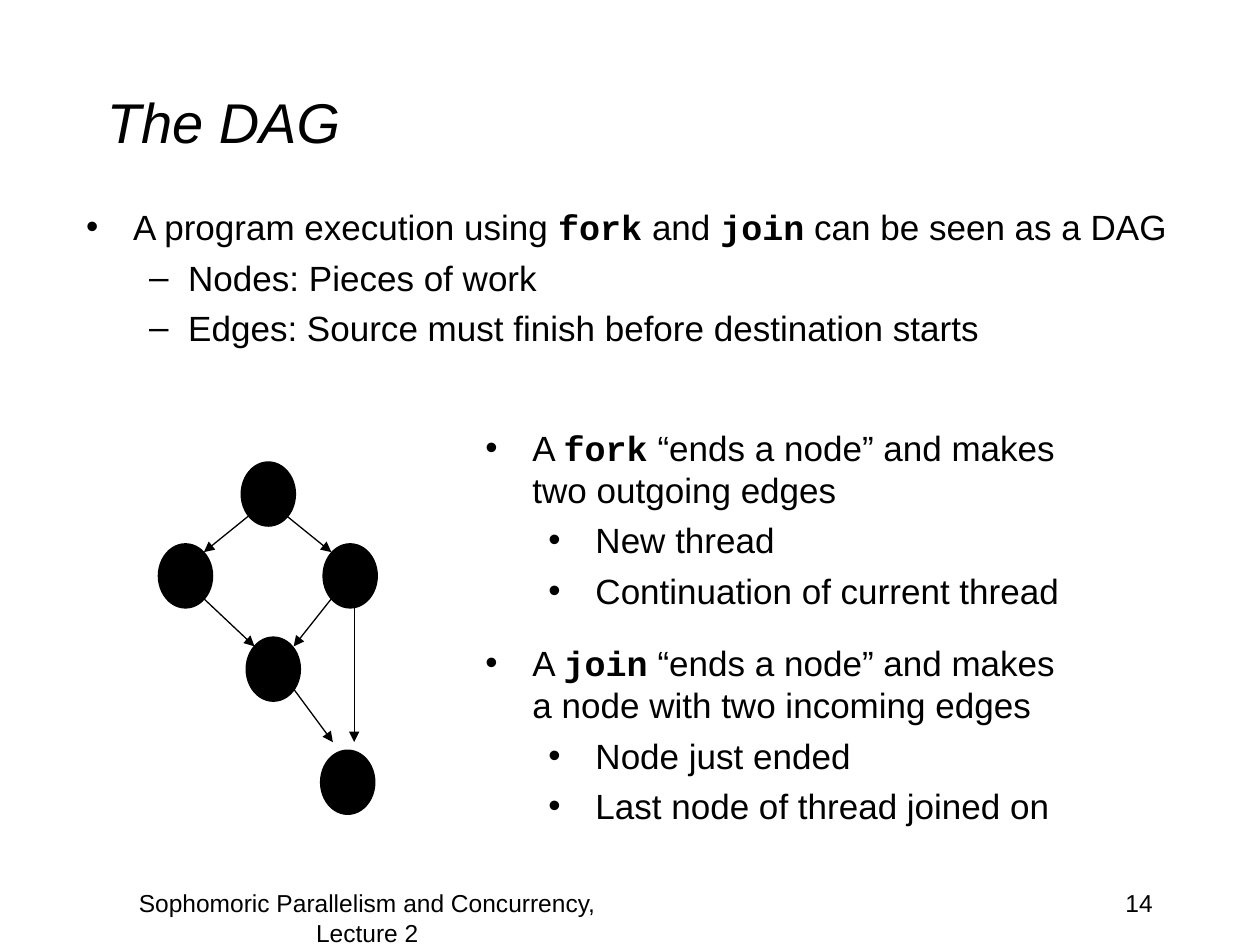
from lxml.etree import SubElement
from pptx import Presentation
from pptx.dml.color import RGBColor
from pptx.enum.shapes import MSO_CONNECTOR, MSO_SHAPE
from pptx.enum.text import MSO_ANCHOR, MSO_AUTO_SIZE, PP_ALIGN
from pptx.oxml.ns import qn
from pptx.util import Cm, Pt

COLORS = {"ink": "000000", "paper": "FFFFFF"}
INK = RGBColor.from_string(COLORS["ink"])


def add_text(tf, text, size=20, italic=False, align=PP_ALIGN.LEFT, level=0,
             bullet=None, margin=0, hang=0, before=0):
    p = tf.paragraphs[0] if not tf.text else tf.add_paragraph()
    p.alignment, p.level, p.space_before = align, level, Pt(before)
    for i, part in enumerate(text.split("`")):
        r = p.add_run()
        r.text = part
        r.font.size, r.font.italic, r.font.bold = Pt(size), italic, i % 2 == 1
        r.font.name = "Courier New" if i % 2 else "Arial"
        r.font.color.rgb = INK
    if bullet:
        pPr = p._p.get_or_add_pPr()
        pPr.set("marL", str(Cm(margin)))
        pPr.set("indent", str(-Cm(hang)))
        SubElement(pPr, qn("a:buFont"), typeface="Arial")
        SubElement(pPr, qn("a:buChar"), char=bullet)


def place(sp, x, y, w, h, anchor=MSO_ANCHOR.TOP):
    sp.left, sp.top, sp.width, sp.height = Cm(x), Cm(y), Cm(w), Cm(h)
    tf = sp.text_frame
    tf.word_wrap, tf.auto_size, tf.vertical_anchor = True, MSO_AUTO_SIZE.NONE, anchor
    return tf


prs = Presentation()
prs.slide_width, prs.slide_height = Cm(25.4), Cm(19.05)
s = prs.slides.add_slide(prs.slide_layouts[3])
s.background.fill.solid()
s.background.fill.fore_color.rgb = RGBColor.from_string(COLORS["paper"])

tf = place(s.shapes.title, 1.9, 0.85, 21.6, 3.17, MSO_ANCHOR.MIDDLE)
add_text(tf, "The DAG", size=32, italic=True)

tf = place(s.placeholders[1], 1.48, 4.02, 24.13 - 0, 4.87)
add_text(tf, "A program execution using `fork` and `join` can be seen as a DAG",
         bullet="•", margin=0.95, hang=0.95, before=4.8)
for text in ("Nodes: Pieces of work",
             "Edges: Source must finish before destination starts"):
    add_text(tf, text, level=1, bullet="–", margin=2.06, hang=0.79, before=4.8)

tf = place(s.placeholders[2], 9.53, 8.47, 12.5, 8.04)
threads = [
    ("A `fork` “ends a node” and makes two outgoing edges", 4.8,
     ("New thread", "Continuation of current thread")),
    ("A `join` “ends a node” and makes a node with two incoming edges", 17.5,
     ("Node just ended", "Last node of thread joined on")),
]
for head, gap, details in threads:
    add_text(tf, head, bullet="•", margin=0.95, hang=0.95, before=gap)
    for text in details:
        add_text(tf, text, level=1, bullet="•", margin=2.22, hang=0.95, before=4.8)

footers = [
    ("Sophomoric Parallelism and Concurrency, Lecture 2", 1.69, 11.43, PP_ALIGN.CENTER),
    ("14", 18.2, 5.29, PP_ALIGN.RIGHT),
]
for text, x, w, align in footers:
    sp = s.shapes.add_textbox(0, 0, 0, 0)
    add_text(place(sp, x, 17.78, w, 1.27), text, size=14, align=align)

dag = s.shapes.add_group_shape().shapes
nodes = [(4.85, 9.3), (3.18, 10.95), (6.5, 10.95), (4.95, 12.83), (6.45, 15.11)]
for x, y in nodes:
    sp = dag.add_shape(MSO_SHAPE.OVAL, Cm(x), Cm(y), Cm(1.12), Cm(1.32))
    sp.shadow.inherit = False
    sp.fill.solid()
    sp.fill.fore_color.rgb = INK
    sp.line.fill.background()

edges = [
    (5.0, 10.41, 4.11, 11.13), (5.79, 10.41, 6.68, 11.13),
    (4.11, 12.07, 5.13, 13.03), (6.68, 12.07, 5.92, 13.03),
    (7.14, 12.19, 7.14, 14.96), (5.92, 13.89, 6.71, 14.96),
]
for x1, y1, x2, y2 in edges:
    edge = dag.add_connector(MSO_CONNECTOR.STRAIGHT, Cm(x1), Cm(y1), Cm(x2), Cm(y2))
    edge.line.width = Pt(0.75)
    edge.line.color.rgb = INK
    SubElement(edge.line._get_or_add_ln(), qn("a:tailEnd"), type="triangle")
    SubElement(edge._element.spPr, qn("a:effectLst"))

prs.save("out.pptx")
